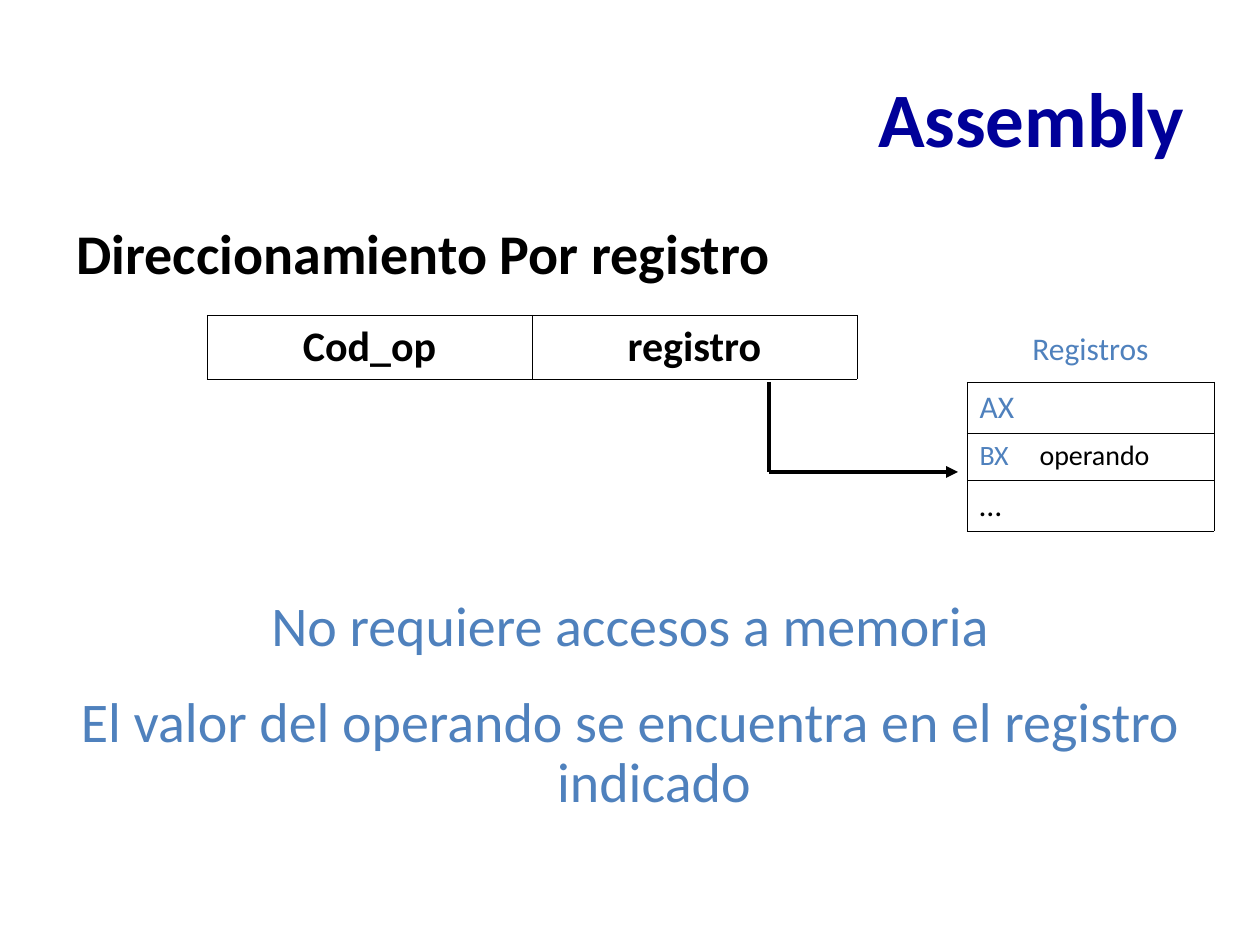
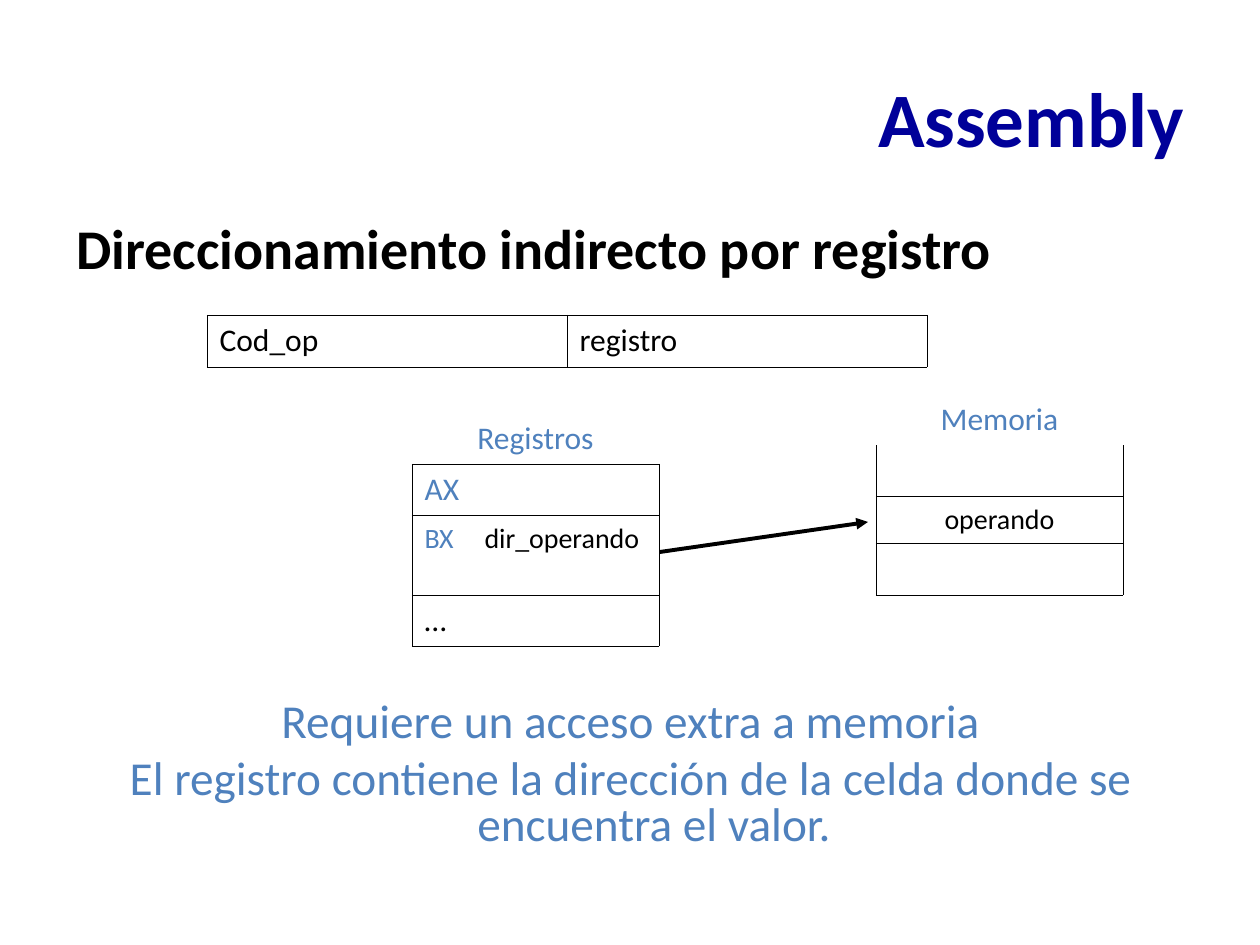
from lxml import etree
from pptx import Presentation
from pptx.dml.color import RGBColor
from pptx.enum.shapes import MSO_CONNECTOR
from pptx.enum.text import MSO_ANCHOR, PP_ALIGN
from pptx.oxml.ns import qn
from pptx.util import Emu, Pt

LEFT, CENTER, RIGHT = PP_ALIGN.LEFT, PP_ALIGN.CENTER, PP_ALIGN.RIGHT
MIDDLE, TOP = MSO_ANCHOR.MIDDLE, MSO_ANCHOR.TOP
STRAIGHT = MSO_CONNECTOR.STRAIGHT

EMU_PER_PX = 914400 / 126
FONT = "Calibri"
COLORS = {"title": "000099", "accent": "4F81BD", "ink": "000000", "paper": "FFFFFF"}
MARGIN, BODY_W = 63, 1134
REGISTER_W, OPERAND_TAB = 247, 60
BORDER_EMU = 1400


def px(n):
    return Emu(round(n * EMU_PER_PX))


def rgb(name):
    return RGBColor.from_string(COLORS[name])


def write(p, text, size=18, color="ink", bold=False, align=LEFT, spacing=None, before=0):
    """Add a formatted run to a paragraph."""
    p.alignment = align
    if spacing:
        p.line_spacing = spacing
    if before:
        p.space_before = Pt(before)
    r = p.add_run()
    r.text = text
    r.font.name, r.font.size, r.font.bold = FONT, Pt(size), bold
    r.font.color.rgb = rgb(color)


class Deck:
    def __init__(self):
        self.prs = Presentation()
        self.prs.slide_width, self.prs.slide_height = px(1260), px(945)
        self.s = None

    def slide(self, heading, spacing):
        """Start a slide with the shared title and its heading."""
        self.s = self.prs.slides.add_slide(self.prs.slide_layouts[6])
        self.text(38, 158, ["Assembly"], anchor=MIDDLE, size=44, color="title",
                  bold=True, align=RIGHT)
        self.text(220, 75, [heading], hanging=True, size=32, bold=True, spacing=spacing)

    def text(self, y, h, lines, anchor=TOP, hanging=False, before=0, **fmt):
        """Full-width text box, one paragraph for each line."""
        tf = self.s.shapes.add_textbox(px(MARGIN), px(y), px(BODY_W), px(h)).text_frame
        tf.word_wrap, tf.vertical_anchor = True, anchor
        for i, line in enumerate(lines):
            p = tf.add_paragraph() if i else tf.paragraphs[0]
            if hanging:
                pPr = p._p.get_or_add_pPr()
                pPr.set("marL", str(px(48)))
                pPr.set("indent", str(px(-47)))
            write(p, line, before=before if i else 0, **fmt)

    def notes(self, y, h, lines, **fmt):
        self.text(y, h, lines, hanging=True, color="accent", align=CENTER, **fmt)

    def table(self, x, y, col_w, row_h, rows, sides=None):
        """Table of cells, each a list of (text, format); sides maps a row to its borders."""
        cols = len(rows[0])
        tbl = self.s.shapes.add_table(len(rows), cols, px(x), px(y),
                                      px(col_w * cols), px(sum(row_h))).table
        tbl.first_row = tbl.horz_banding = False
        for col in tbl.columns:
            col.width = px(col_w)
        for i, row in enumerate(rows):
            tbl.rows[i].height = px(row_h[i])
            for j, runs in enumerate(row):
                cell = tbl.cell(i, j)
                self.borders(cell, (sides or {}).get(i, "LRTB"))
                cell.fill.solid()
                cell.fill.fore_color.rgb = rgb("paper")
                p = cell.text_frame.paragraphs[0]
                if any("\t" in text for text, _ in runs):
                    tabs = etree.SubElement(p._p.get_or_add_pPr(), qn("a:tabLst"))
                    etree.SubElement(tabs, qn("a:tab"), pos=str(px(OPERAND_TAB)), algn="l")
                for text, fmt in runs:
                    write(p, text, spacing=0.98, **fmt)

    def borders(self, cell, sides):
        tcPr = cell._tc.get_or_add_tcPr()
        for side in "LRTB":
            ln = etree.SubElement(tcPr, qn("a:ln" + side), w=str(BORDER_EMU))
            if side in sides:
                fill = etree.SubElement(ln, qn("a:solidFill"))
                etree.SubElement(fill, qn("a:srgbClr"), val=COLORS["ink"])
            else:
                etree.SubElement(ln, qn("a:noFill"))

    def registers(self, x, y, row_h, operand):
        """Register column with a caption row on top."""
        accent = {"color": "accent"}
        self.table(x, y, REGISTER_W, row_h, [
            [[("Registros", {"color": "accent", "align": CENTER})]],
            [[("AX", accent)]],
            [[("BX", {"color": "accent", "size": 16}), ("\t" + operand, {"size": 16})]],
            [[("…", {})]],
        ], sides={0: "B"})

    def line(self, x1, y1, x2, y2, arrow=False):
        c = self.s.shapes.add_connector(STRAIGHT, px(x1), px(y1), px(x2), px(y2))
        c.line.width = Pt(2.25)
        c.line.color.rgb = rgb("ink")
        if arrow:
            etree.SubElement(c.line._get_or_add_ln(), qn("a:tailEnd"), type="triangle")
        etree.SubElement(c._element.spPr, qn("a:effectLst"))


def main():
    deck = Deck()

    # Register addressing
    deck.slide("Direccionamiento Por registro", spacing=0.9)
    field = {"size": 24, "bold": True, "align": CENTER}
    deck.table(207, 315, 325, [64], [[[("Cod_op", field)], [("registro", field)]]])
    deck.registers(967, 324, [58, 51, 47, 51], "operando")
    deck.line(769, 472, 958, 472, arrow=True)
    deck.line(769, 382, 769, 472)
    deck.notes(592, 240, ["No requiere accesos a memoria",
                          "El valor del operando se encuentra en el registro indicado"],
               size=32, spacing=0.9, before=20)

    # Indirect register addressing
    deck.slide("Direccionamiento indirecto por registro", spacing=0.8)
    deck.table(207, 315, 360, [52], [[[("Cod_op", {})], [("registro", {})]]])
    deck.table(876, 394, REGISTER_W, [51, 51, 47, 52], [
        [[("Memoria", {"color": "accent", "align": CENTER})]],
        [[]],
        [[("operando", {"size": 16, "align": CENTER})]],
        [[]],
    ], sides={0: "", 1: "LRB"})
    deck.registers(412, 413, [51, 51, 80, 51], "dir_operando")
    deck.line(660, 552, 868, 522, arrow=True)
    deck.notes(696, 180, ["Requiere un acceso extra a memoria",
                          "El registro contiene la dirección de la celda donde se "
                          "encuentra el valor."],
               size=27, spacing=0.8, before=6.8)

    deck.prs.save("out.pptx")


if __name__ == "__main__":
    main()
